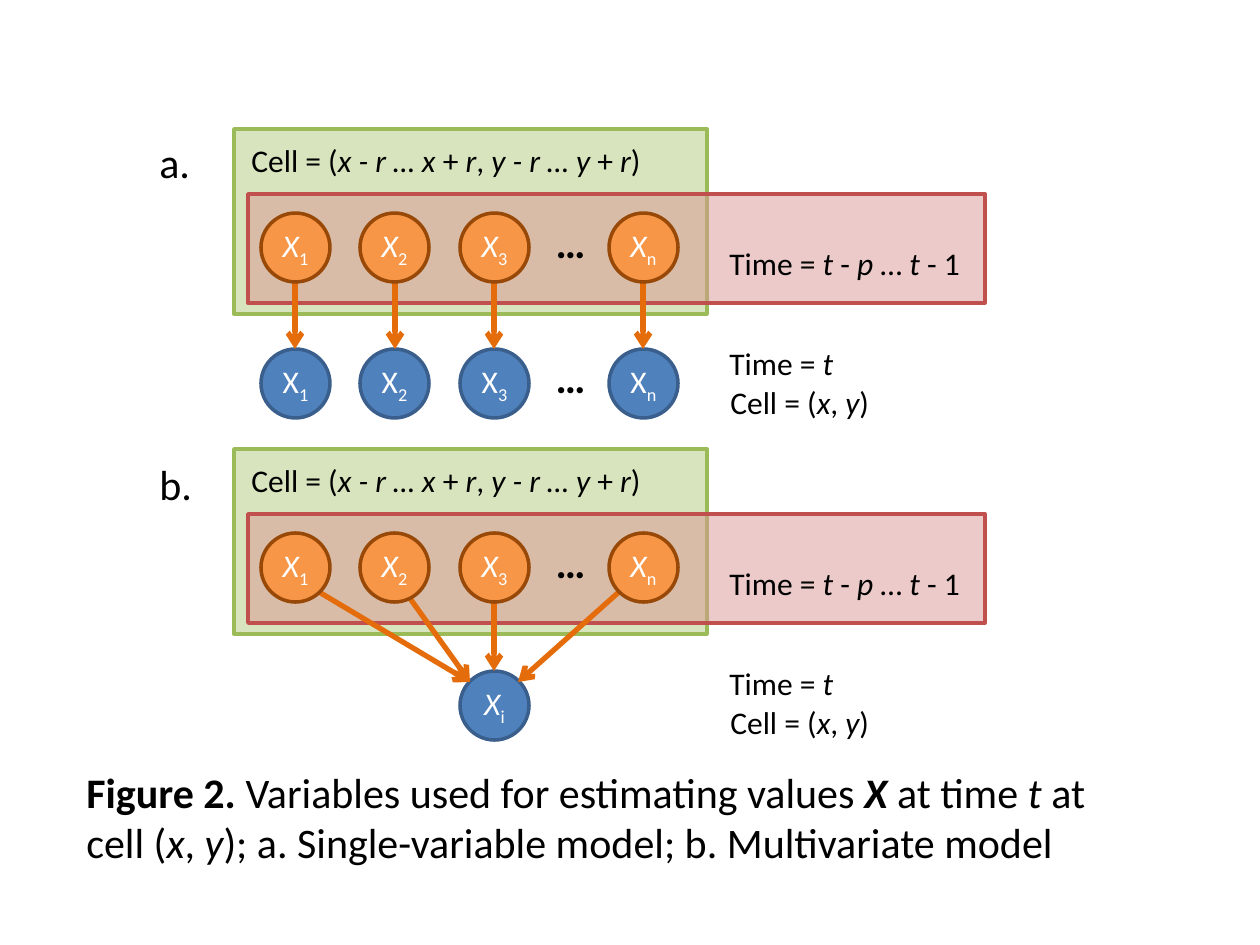
from lxml import etree
from pptx import Presentation
from pptx import util as u
from pptx.dml.color import RGBColor
from pptx.enum import shapes, text
from pptx.oxml.ns import qn

PX = 914400 / 126
THEME = {
    "font": "Calibri", "body": 18, "large": 24,
    "black": "000000", "white": "FFFFFF",
    "cell": ("D7E4BD", "9BBB59"), "time": ("D99694", "C0504D"),
    "past": ("F79646", "984807"), "present": ("4F81BD", "3A5F8C"),
    "arrow": "E46C0A",
}


def draw(kind, bounds, colours):
    shape = slide.shapes.add_shape(kind, *[round(n * PX) for n in bounds])
    shape.shadow.inherit = False
    shape.fill.solid()
    shape.fill.fore_color.rgb = RGBColor.from_string(colours[0])
    shape.line.color.rgb = RGBColor.from_string(colours[1])
    shape.line.width = u.Pt(2)
    return shape


def write(frame, spans, size, colour, align):
    frame.word_wrap = True
    para = frame.paragraphs[0]
    para.alignment = align
    para.font.name = THEME["font"]
    para.font.size = u.Pt(size)
    para.font.color.rgb = RGBColor.from_string(colour)
    for words, style in spans:
        span = para.add_run()
        span.text = words
        if "b" in style:
            span.font.bold = True
        if "i" in style:
            span.font.italic = True
        if "s" in style:
            span._r.get_or_add_rPr().set("baseline", "-25000")


deck = Presentation()
deck.slide_width = round(1260 * PX)
deck.slide_height = round(945 * PX)
slide = deck.slides.add_slide(deck.slide_layouts[6])

RECT = shapes.MSO_SHAPE.RECTANGLE
OVAL = shapes.MSO_SHAPE.OVAL
LEFT = text.PP_ALIGN.LEFT
CENTER = text.PP_ALIGN.CENTER
SIZE = 69
DIAGONAL = 24
names = ["1", "2", "3", "n"]
columns = [261, 360, 460, 609]
centres = [295, 395, 494, 643]

cell_range = [("Cell = (", ""), ("x - r … x ", "i"), ("+", ""), (" r", "i"), (", ", ""),
              ("y - r … y ", "i"), ("+", ""), (" r", "i"), (")", "")]
time_range = [("Time = ", ""), ("t", "i"), (" - ", ""), ("p", "i"), (" … ", ""),
              ("t", "i"), (" - 1", "")]
time_now = [("Time = ", ""), ("t", "i")]
cell_now = [("Cell = (", ""), ("x", "i"), (", ", ""), ("y", "i"), (")", "")]
dots = [("…", "b")]
caption = [("Figure 2. ", "b"), ("Variables used for estimating values ", ""), ("X", "bi"),
           (" at time ", ""), ("t", "i"), (" at cell (", ""), ("x", "i"), (", ", ""), ("y", "i"),
           ("); a. Single-variable model; b. Multivariate model", "")]

single_targets = [(x, 349, name, "") for x, name in zip(columns, names)]
single_arrows = [(x, 282, x, 349) for x in centres]
shared_targets = [(460, 351, "i", "i")]
shared_arrows = [
    (centres[0] + DIAGONAL, 272, centres[2] - DIAGONAL, 362),
    (centres[1] - DIAGONAL, 224, centres[2] - DIAGONAL, 362),
    (centres[2], 282, centres[2], 351),
    (centres[3] - DIAGONAL, 272, centres[2] + DIAGONAL, 362),
]
panels = [("a.", 0, 130, single_targets, single_arrows),
          ("b.", 320, 452, shared_targets, shared_arrows)]

large = THEME["large"]
body = THEME["body"]
labels = [((74, 760, 1043, 115), caption, large, LEFT),
          ((541, 345, 59, 63), dots, large, CENTER)]

for letter, top, letter_top, targets, arrows in panels:
    draw(RECT, (234, top + 129, 473, 185), THEME["cell"])
    time_band = draw(RECT, (248, top + 194, 737, 109), THEME["time"])
    tint = time_band.fill._xPr.find(qn("a:solidFill"))[0]
    etree.SubElement(tint, qn("a:alpha"), val="50000")

    circles = [(x, y, name, style, "present") for x, y, name, style in targets]
    circles += [(x, 213, name, "i", "past") for x, name in zip(columns, names)]
    for number, (x, y, name, style, role) in enumerate(circles):
        if number == len(targets):
            for arrow in arrows:
                ends = [n + top * (i % 2) for i, n in enumerate(arrow)]
                line = slide.shapes.add_connector(
                    shapes.MSO_CONNECTOR.STRAIGHT, *[round(n * PX) for n in ends])
                line.line.color.rgb = RGBColor.from_string(THEME["arrow"])
                line.line.width = u.Pt(3)
                etree.SubElement(line.line._get_or_add_ln(), qn("a:tailEnd"), type="arrow")
                etree.SubElement(line._element.spPr, qn("a:effectLst"))
        circle = draw(OVAL, (x, top + y, SIZE, SIZE), THEME[role])
        frame = circle.text_frame
        frame.margin_left = frame.margin_right = frame.margin_top = frame.margin_bottom = 0
        frame.vertical_anchor = text.MSO_ANCHOR.MIDDLE
        write(frame, [("X", style), (name, "s")], body, THEME["white"], CENTER)

    labels += [
        ((147, letter_top, 62, 63), [(letter, "")], large, LEFT),
        ((239, top + 135, 460, 50), cell_range, body, LEFT),
        ((541, top + 210, 59, 63), dots, large, CENTER),
        ((717, top + 238, 338, 50), time_range, body, LEFT),
        ((717, top + 338, 338, 50), time_now, body, LEFT),
        ((718, top + 377, 338, 50), cell_now, body, LEFT),
    ]

for bounds, spans, size, align in labels:
    box = slide.shapes.add_textbox(*[round(n * PX) for n in bounds])
    write(box.text_frame, spans, size, THEME["black"], align)
    box.text_frame.auto_size = text.MSO_AUTO_SIZE.SHAPE_TO_FIT_TEXT

deck.save("out.pptx")
